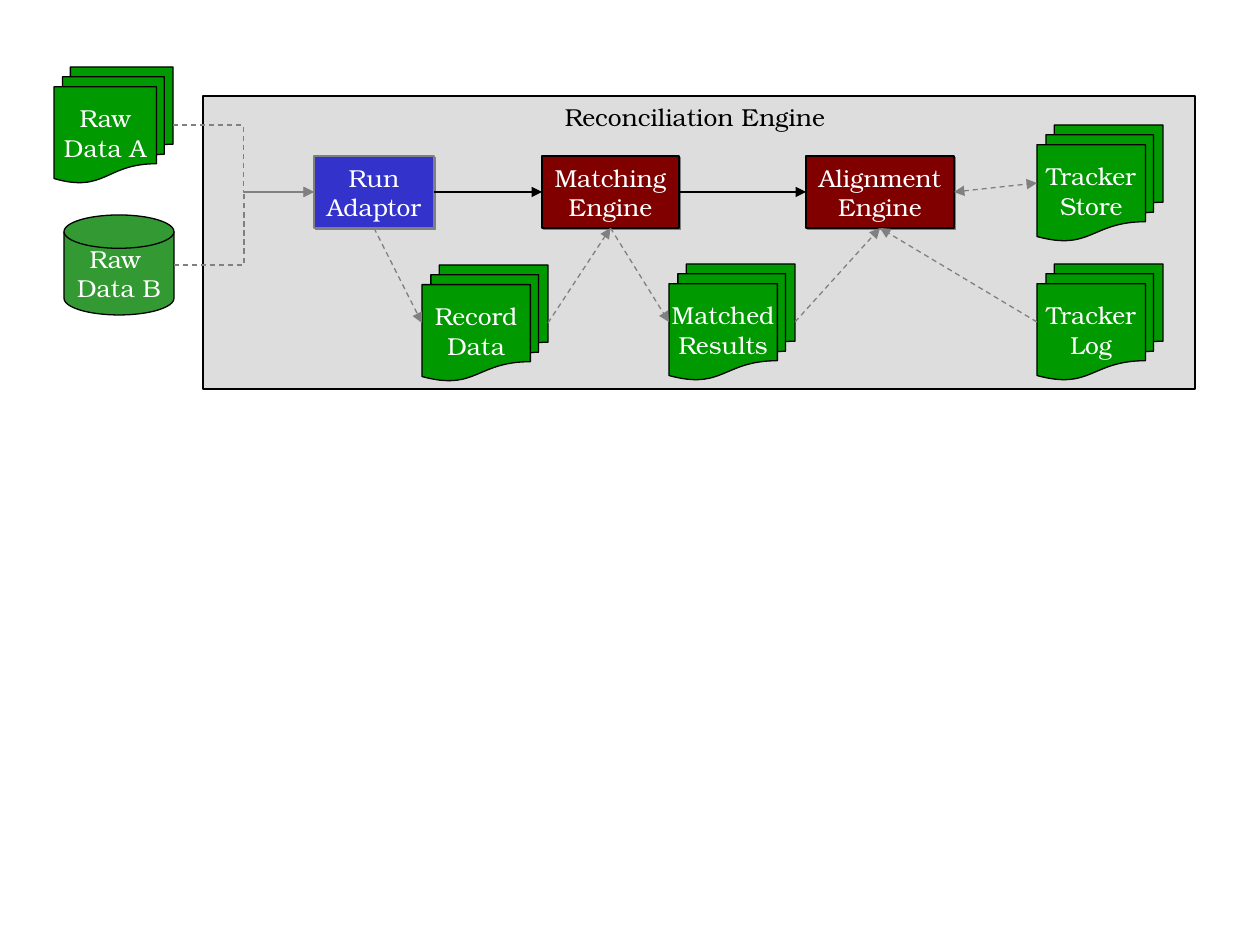
from lxml.etree import SubElement as Sub
from pptx import Presentation as Deck
from pptx.dml.color import RGBColor as Rgb
from pptx.enum.dml import MSO_LINE_DASH_STYLE as Dash
from pptx.enum.shapes import MSO_CONNECTOR as Conn, MSO_SHAPE as Form
from pptx.enum.text import MSO_ANCHOR as Anchor, PP_ALIGN as Align
from pptx.oxml.ns import qn
from pptx.util import Pt

SCALE = 914400 / 126
BLACK = Rgb(0, 0, 0)
WHITE = Rgb(255, 255, 255)
GRAY = Rgb(128, 128, 128)
SILVER = Rgb(221, 221, 221)
BLUE = Rgb(51, 51, 204)
MAROON = Rgb(128, 0, 0)
GREEN = Rgb(0, 153, 0)
MOSS = Rgb(51, 153, 51)
TOP, LEFT, BOTTOM, RIGHT = range(4)


def emu(px):
    return round(px * SCALE)


def apply(thing, form):
    for key, val in form.items():
        setattr(thing, key, val)


class Sketch:
    font = {"name": "TeX Gyre Bonum", "size": Pt(14)}
    frame = {"word_wrap": False, "vertical_anchor": Anchor.MIDDLE}
    width = Pt(0.75)

    def __init__(self, slide):
        self.shapes = slide.shapes

    def shape(self, kind, text, at, fill, edge=BLACK, ink=WHITE, **extra):
        item = self.shapes.add_shape(kind, *map(emu, at))
        item.shadow.inherit = False
        item.fill.solid()
        item.fill.fore_color.rgb = fill
        item.line.color.rgb = edge
        item.line.width = self.width
        body = item.text_frame
        body.text = text
        apply(body, self.frame | extra)
        for para in body.paragraphs:
            para.alignment = Align.CENTER
            for run in para.runs:
                apply(run.font, self.font)
                run.font.color.rgb = ink
        return item

    def box(self, text, left, width, fill, edge=BLACK):
        item = self.shape(Form.RECTANGLE, text, (left, 156, width, 72), fill, edge)
        fx = item._element.spPr.find(qn("a:effectLst"))
        shade = Sub(fx, qn("a:outerShdw"), dist="17961", dir="2700000",
                    algn="ctr", rotWithShape="0")
        Sub(shade, qn("a:srgbClr"), val=str(GRAY))
        return item

    def stack(self, text, left, top, width=126):
        return self.shape(Form.FLOWCHART_MULTIDOCUMENT, text,
                          (left, top, width, 116), GREEN)

    def spot(self, item, side):
        x, y = item.left + item.width // 2, item.top + item.height // 2
        return ((x, item.top), (item.left, y),
                (x, item.top + item.height), (item.left + item.width, y))[side]

    def link(self, start, end, color=GRAY, kind=Conn.STRAIGHT, heads=("tailEnd",)):
        wire = self.shapes.add_connector(kind, *self.spot(*start), *self.spot(*end))
        if kind == Conn.STRAIGHT:
            for join, (item, side) in ((wire.begin_connect, start),
                                       (wire.end_connect, end)):
                if item.auto_shape_type == Form.RECTANGLE:
                    join(item, side)
        wire.line.color.rgb = color
        wire.line.width = self.width
        if color == GRAY:
            wire.line.dash_style = Dash.DASH
        props = wire._element.spPr
        for head in heads:
            Sub(props.find(qn("a:ln")), qn("a:" + head), type="triangle")
        Sub(props, qn("a:effectLst"))


def main():
    deck = Deck()
    deck.slide_width, deck.slide_height = emu(1260), emu(945)
    art = Sketch(deck.slides.add_slide(deck.slide_layouts[6]))

    art.shape(Form.RECTANGLE, "Reconciliation Engine ", (203, 96, 992, 293), SILVER,
              ink=BLACK, word_wrap=True, vertical_anchor=Anchor.TOP)
    run = art.box("Run\nAdaptor", 314, 120, BLUE, GRAY)
    match = art.box("Matching\nEngine", 542, 137, MAROON)
    align = art.box("Alignment\nEngine", 806, 148, MAROON)
    store = art.stack("Tracker\nStore", 1037, 125)
    log = art.stack("Tracker\nLog", 1037, 264)
    result = art.stack("Matched\nResults", 669, 264)
    record = art.stack("Record\nData", 422, 265)
    first = art.stack("Raw\nData A", 54, 67, 119)
    second = art.shape(Form.FLOWCHART_MAGNETIC_DISK, "Raw \nData B",
                       (64, 215, 110, 100), MOSS)

    for source in (first, second):
        art.link((source, RIGHT), (run, LEFT), kind=Conn.ELBOW)
    for start, end in ((run, match), (match, align)):
        art.link((start, RIGHT), (end, LEFT), BLACK)
    for start, data, end in ((run, record, match), (match, result, align)):
        art.link((start, BOTTOM), (data, LEFT))
        art.link((data, RIGHT), (end, BOTTOM))
    art.link((align, RIGHT), (store, LEFT), heads=("headEnd", "tailEnd"))
    art.link((log, LEFT), (align, BOTTOM))

    deck.save("out.pptx")


if __name__ == "__main__":
    main()
